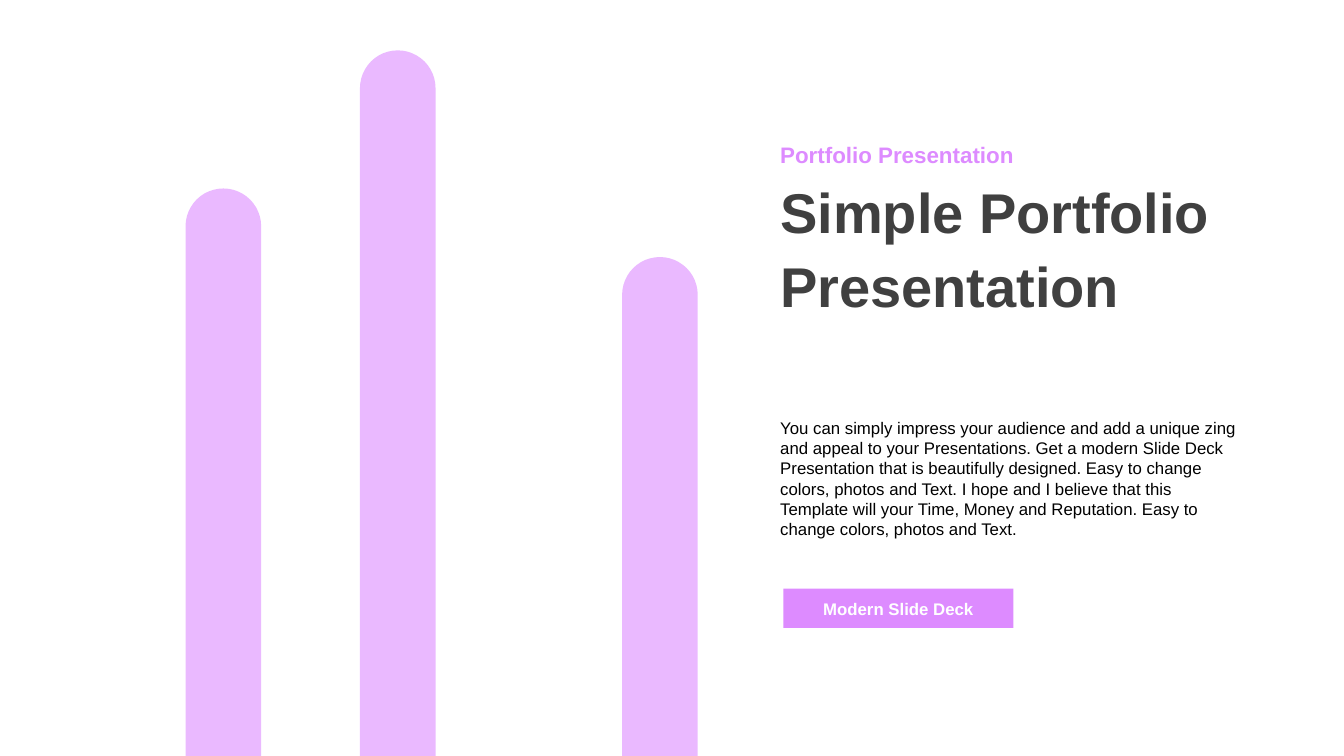
from lxml import etree
from pptx import Presentation
from pptx.dml.color import RGBColor
from pptx.enum import shapes, text
from pptx.oxml import ns
from pptx.util import Inches, Pt

VIOLET = "DD8BFF"
DARK_GREY = "404040"
BLACK = "000000"
WHITE = "FFFFFF"
SLIDE_WIDTH, SLIDE_HEIGHT = 13.33, 7.5


def color(hex_value):
    return RGBColor.from_string(hex_value)


def write_text(shape, words, paragraph_format=None, **font_format):
    """Fill a shape with one formatted paragraph."""
    frame = shape.text_frame
    frame.word_wrap = True
    frame.vertical_anchor = text.MSO_ANCHOR.MIDDLE
    paragraph = frame.paragraphs[0]
    for name, value in (paragraph_format or {}).items():
        setattr(paragraph, name, value)
    run = paragraph.add_run()
    run.text = words
    run.font.name = "Arial"
    run.font.color.rgb = color(font_format.pop("color"))
    for name, value in font_format.items():
        setattr(run.font, name, value)


def add_text(slide, box, words, **formats):
    shape = slide.shapes.add_textbox(*map(Inches, box))
    write_text(shape, words, **formats)


def add_filled_shape(slide, kind, box, fill):
    shape = slide.shapes.add_shape(kind, *map(Inches, box))
    shape.shadow.inherit = False
    shape.fill.solid()
    shape.fill.fore_color.rgb = color(fill)
    shape.line.fill.background()
    return shape


def add_pillars(slide, left, bottom):
    """Round-topped translucent pillars standing on the bottom edge."""
    width = 0.75
    for offset, height in ((0, 5.63), (1.73, 7), (4.33, 4.95)):
        box = (left + offset, bottom - height, width, height)
        pillar = add_filled_shape(
            slide, shapes.MSO_SHAPE.ROUND_2_SAME_RECTANGLE, box, VIOLET)
        pillar.adjustments[0] = 0.5
        pillar.adjustments[1] = 0
        # 60 % opacity
        fill_color = pillar.fill._xPr.find(".//" + ns.qn("a:srgbClr"))
        etree.SubElement(fill_color, ns.qn("a:alpha"), val="60000")


def add_intro(slide, left, top, width):
    """Kicker, title, description and button in one column."""
    add_text(slide, (left, top, 3.39, 0.43), "Portfolio Presentation",
             size=Pt(16), bold=True, color=VIOLET)
    add_text(slide, (left, top + 0.45, width, 1.32),
             "Simple Portfolio Presentation",
             paragraph_format={"line_spacing": 1.1},
             size=Pt(40), bold=True, color=DARK_GREY)
    add_text(slide, (left, top + 2.77, width, 1.31),
             "You can simply impress your audience and add a unique zing and "
             "appeal to your Presentations. Get a modern Slide Deck "
             "Presentation that is beautifully designed. Easy to change "
             "colors, photos and Text. I hope and I believe that this "
             "Template will your Time, Money and Reputation. Easy to change "
             "colors, photos and Text.",
             size=Pt(12), color=BLACK)

    # Button
    button = add_filled_shape(slide, shapes.MSO_SHAPE.RECTANGLE,
                              (left + 0.13, top + 4.52, 2.28, 0.39), VIOLET)
    write_text(button, "Modern Slide Deck",
               paragraph_format={"alignment": text.PP_ALIGN.CENTER},
               size=Pt(12), bold=True, color=WHITE)


def main():
    presentation = Presentation()
    presentation.slide_width = Inches(SLIDE_WIDTH)
    presentation.slide_height = Inches(SLIDE_HEIGHT)
    slide = presentation.slides.add_slide(presentation.slide_layouts[6])
    slide.background.fill.solid()
    slide.background.fill.fore_color.rgb = color(WHITE)
    add_intro(slide, left=7.64, top=1.32, width=4.75)
    add_pillars(slide, left=1.84, bottom=SLIDE_HEIGHT)
    presentation.save("out.pptx")


if __name__ == "__main__":
    main()
